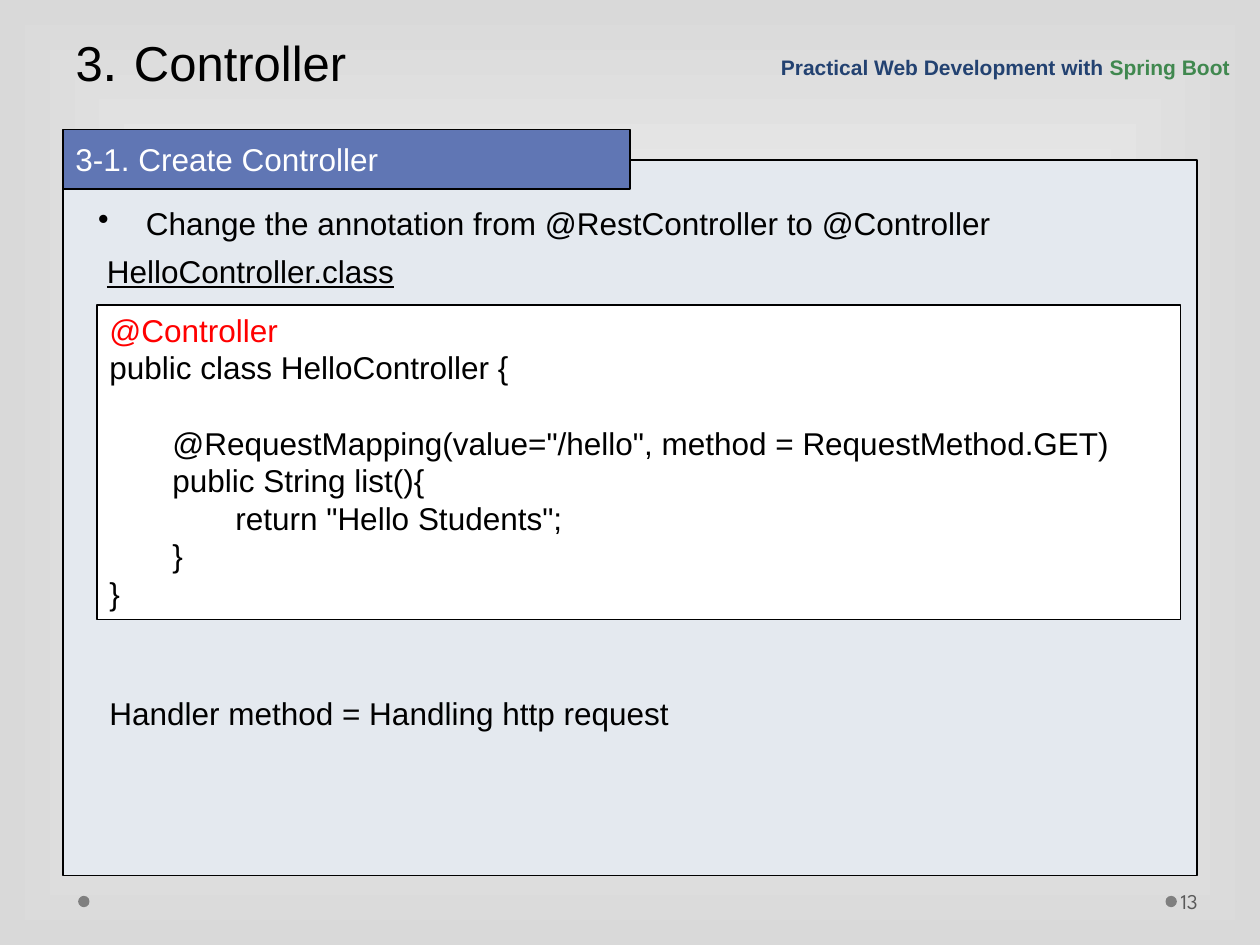
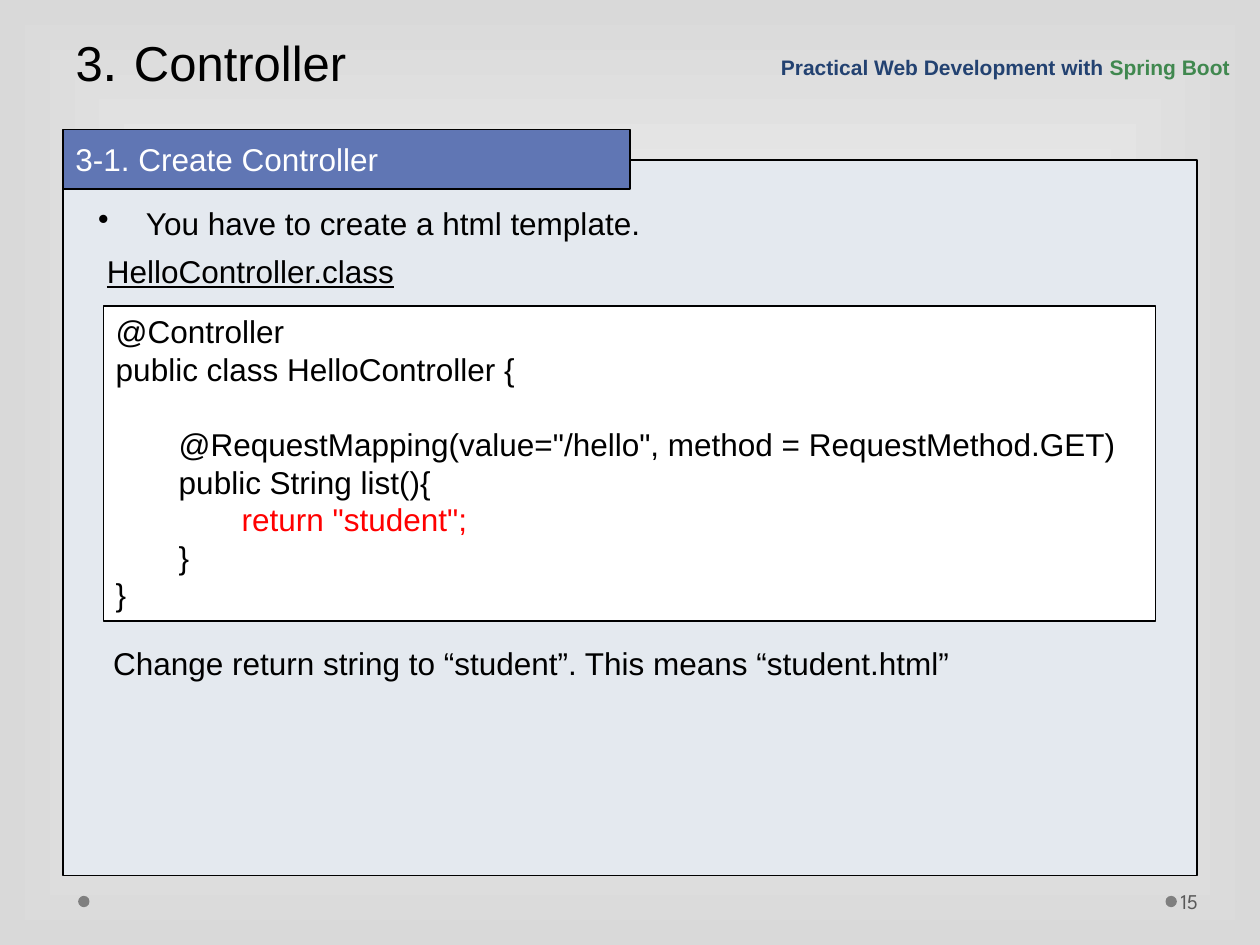
"""Builds two slides on creating a controller."""
from lxml import etree
from pptx import Presentation
from pptx.dml.color import RGBColor
from pptx.enum import shapes, text
from pptx.oxml.ns import qn
from pptx.util import Inches, Pt

COLOURS = {
    "black": "000000", "white": "FFFFFF", "grey": "D9D9D9", "dot": "7F7F7F",
    "number": "595959", "panel": "E4E9EF", "tab": "6076B4", "navy": "234271",
    "green": "40884F", "red": "FF0000",
}
TITLE = [("3", 28), (". ", 32), ("Controller", 28)]
COURSE = [("Practical Web Development with ", "navy"), ("Spring Boot", "green")]
SECTION = "3-1. Create Controller"
FILE_NAME = "HelloController.class"
DOT_LEFTS = (0.62, 9.25)
LINE_PITCH = 21.5
CODE_STEP = 0.5

# Each code line: indent depth, blank lines before it, wording.
CODE = [
    (0, 0, "@Controller"),
    (0, 0, "public class HelloController {"),
    (1, 1, '@RequestMapping(value="/hello", method = RequestMethod.GET)'),
    (1, 0, "public String list(){"),
    (2, 0, 'return "{result}";'),
    (1, 0, "}"),
    (0, 0, "}"),
]
SLIDES = [
    {
        "number": "13",
        "point": "Change the annotation from @RestController to @Controller",
        "result": "Hello Students",
        "red_line": 0,
        "code_at": (0.77, 2.42, 8.6, 2.5),
        "remark": "Handler method = Handling http request",
        "remark_at": (0.77, 5.46, 6.61, 0.4),
    },
    {
        "number": "15",
        "point": "You have to create a html template.",
        "result": "student",
        "red_line": 4,
        "code_at": (0.82, 2.43, 8.35, 2.5),
        "remark": "Change return string to “student”. This means “student.html”",
        "remark_at": (0.8, 5.06, 8.4, 0.4),
    },
]


def rgb(name):
    return RGBColor.from_string(COLOURS[name])


def style(font, size, colour="black", name="Arial"):
    font.size, font.name = Pt(size), name
    font.color.rgb = rgb(colour)


def indent(para, left, first=0):
    properties = para._p.get_or_add_pPr()
    properties.set("marL", str(Inches(left)))
    properties.set("indent", str(Inches(first)))
    return properties


def add_shape(page, at, fill, outlined=True, kind=shapes.MSO_SHAPE.RECTANGLE):
    shape = page.shapes.add_shape(kind, *map(Inches, at))
    shape.shadow.inherit = False
    shape.fill.solid()
    shape.fill.fore_color.rgb = rgb(fill)
    if outlined:
        shape.line.color.rgb = rgb("black")
        shape.line.width = Pt(0.75)
    else:
        shape.line.fill.background()
    frame = shape.text_frame
    frame.word_wrap = True
    frame.vertical_anchor = text.MSO_ANCHOR.TOP
    frame.paragraphs[0].alignment = text.PP_ALIGN.LEFT
    return shape


def add_text(page, at, words, size=18, colour="black", name="Arial"):
    frame = page.shapes.add_textbox(*map(Inches, at)).text_frame
    frame.word_wrap = True
    para = frame.paragraphs[0]
    para.text = words
    style(para.font, size, colour, name)
    return frame


def paint_background(master):
    fill = master.background.fill
    fill.gradient()
    for stop, colour in zip(fill.gradient_stops, ("white", "grey")):
        stop.color.rgb = rgb(colour)
    gradient = next(master.element.iter(qn("a:gradFill")))
    gradient.remove(gradient.find(qn("a:lin")))
    centre = etree.SubElement(gradient, qn("a:path"), {"path": "rect"})
    etree.SubElement(centre, qn("a:fillToRect"), dict.fromkeys("ltrb", "50000"))


def add_title(page):
    title = page.shapes.title
    title.left, title.top, title.width, title.height = map(Inches, (0.5, 0, 5.6, 0.79))
    frame = title.text_frame
    frame.auto_size = text.MSO_AUTO_SIZE.NONE
    frame.vertical_anchor = text.MSO_ANCHOR.BOTTOM
    para = frame.paragraphs[0]
    para.alignment = text.PP_ALIGN.LEFT
    para.line_spacing = Pt(58)
    indent(para, 1.13, -1.13)
    for words, size in TITLE:
        span = para.add_run()
        span.text = words
        style(span.font, size)


def add_course(page):
    frame = add_text(page, (6.1, 0.13, 3.86, 0.55), "", 12)
    frame.vertical_anchor = text.MSO_ANCHOR.BOTTOM
    for words, colour in COURSE:
        span = frame.paragraphs[0].add_run()
        span.text = words
        style(span.font, 12, colour)
        span.font.bold = True


def add_frame(page, number):
    for left in DOT_LEFTS:
        add_shape(page, (left, 7.11, 0.09, 0.09), "dot", False, shapes.MSO_SHAPE.OVAL)
    footer = add_text(page, (9.34, 6.95, 0.61, 0.4), number, 12, "number", "League Spartan")
    footer.vertical_anchor = text.MSO_ANCHOR.MIDDLE
    footer.margin_left, footer.margin_right = Inches(0.03), Inches(0.05)
    add_shape(page, (0.5, 1.27, 9, 5.68), "panel")
    add_title(page)
    tab = add_shape(page, (0.5, 1.03, 4.5, 0.47), "tab")
    para = tab.text_frame.paragraphs[0]
    para.text = SECTION
    para.line_spacing, para.space_before = 1.1, Pt(4.5)
    style(para.font, 18, "white")
    add_course(page)


def add_point(page, words):
    para = add_text(page, (0.68, 1.57, 8.66, 0.4), words).paragraphs[0]
    properties = indent(para, 0.38, -0.38)
    bullet = etree.Element(qn("a:buChar"), {"char": "•"})
    properties.insert_element_before(bullet, "a:tabLst", "a:defRPr", "a:extLst")


def add_code(page, at, result, red_line):
    frame = add_shape(page, at, "white").text_frame
    for index, (depth, blanks, words) in enumerate(CODE):
        para = frame.add_paragraph() if index else frame.paragraphs[0]
        para.text = words.replace("{result}", result)
        para.alignment = text.PP_ALIGN.LEFT
        para.line_spacing = Pt(LINE_PITCH)
        para.space_before = Pt(LINE_PITCH * blanks)
        indent(para, depth * CODE_STEP)
        style(para.font, 18, "red" if index == red_line else "black")


def main():
    deck = Presentation()
    deck.slide_width, deck.slide_height = Inches(10), Inches(7.5)
    paint_background(deck.slide_master)
    for content in SLIDES:
        page = deck.slides.add_slide(deck.slide_layouts[5])
        add_frame(page, content["number"])
        add_point(page, content["point"])
        file_name = add_text(page, (0.75, 1.95, 8.19, 0.4), FILE_NAME)
        file_name.paragraphs[0].font.underline = True
        add_text(page, content["remark_at"], content["remark"])
        add_code(page, content["code_at"], content["result"], content["red_line"])
    deck.save("out.pptx")


if __name__ == "__main__":
    main()
